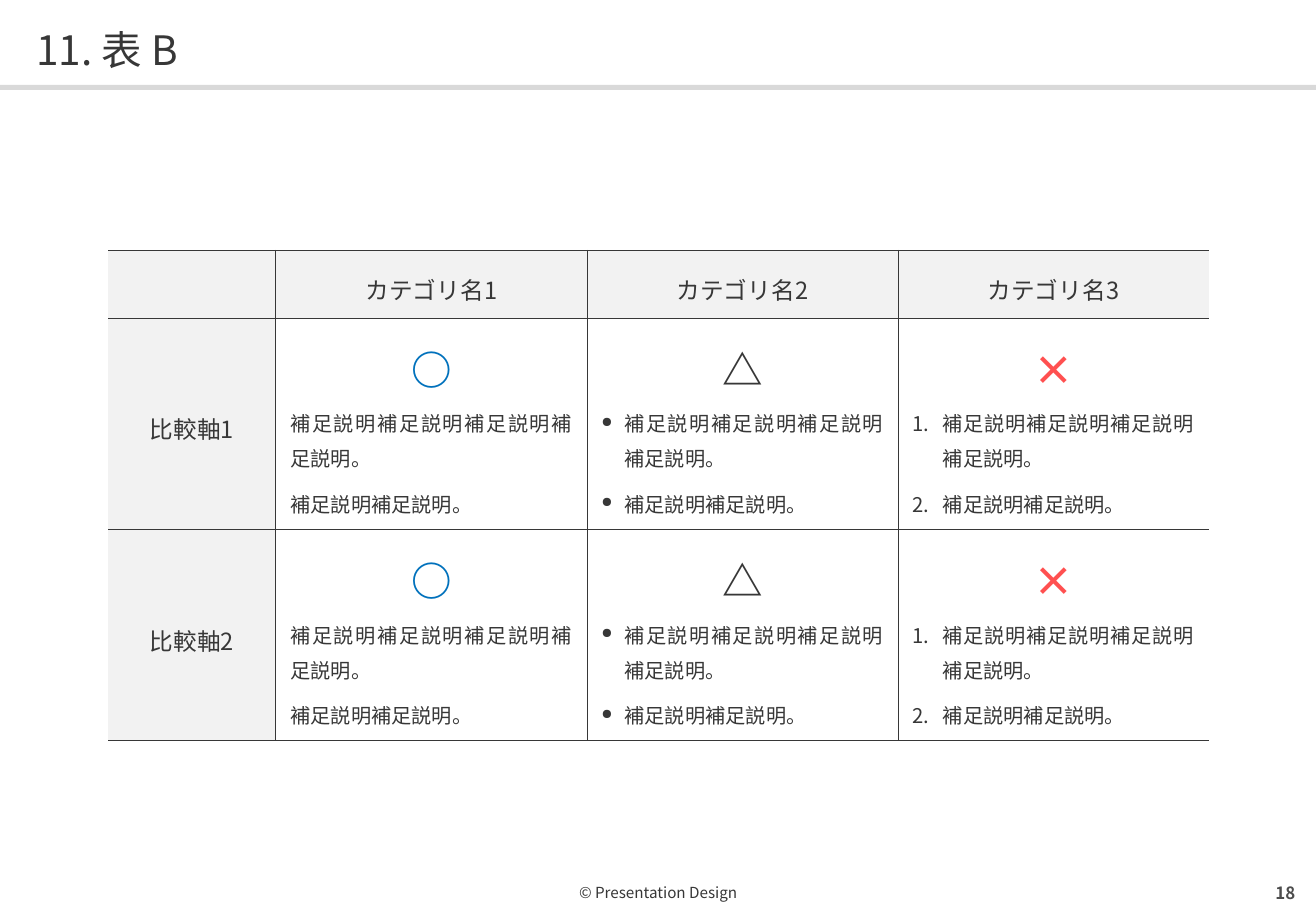
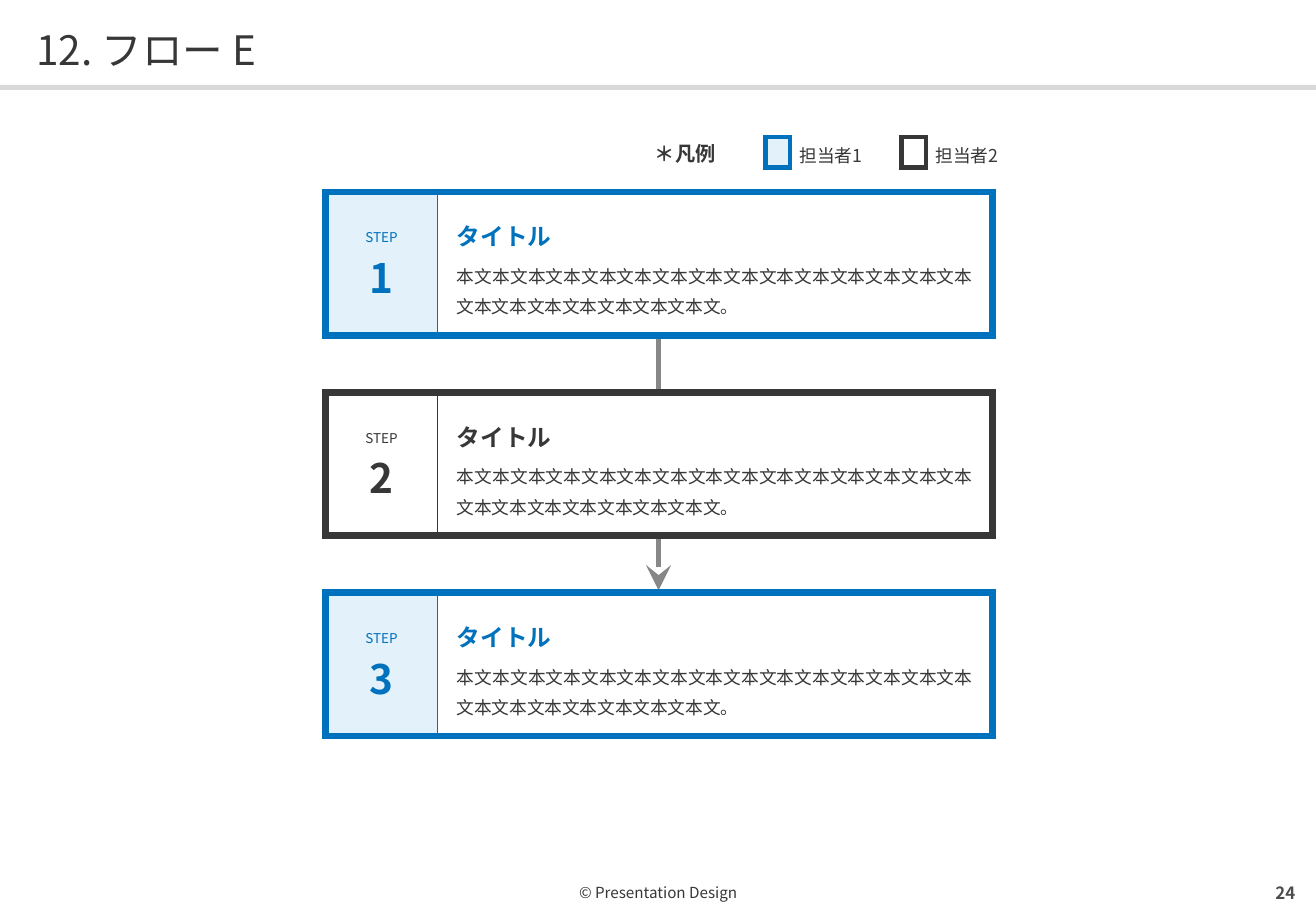
from lxml import etree
from pptx import Presentation
from pptx.dml.color import RGBColor
from pptx.enum.shapes import MSO_CONNECTOR, MSO_SHAPE
from pptx.enum.text import MSO_ANCHOR, PP_ALIGN
from pptx.oxml.ns import qn
from pptx.util import Inches, Pt

INK = RGBColor(0x37, 0x37, 0x37)
BLUE = RGBColor(0x00, 0x71, 0xBC)
RED = RGBColor(0xFF, 0x50, 0x50)
PALE_BLUE = RGBColor(0xE2, 0xF1, 0xFA)
PALE_GRAY = RGBColor(0xF2, 0xF2, 0xF2)
RULE_GRAY = RGBColor(0xD9, 0xD9, 0xD9)
ARROW_GRAY = RGBColor(0x87, 0x87, 0x87)
PAGE_GRAY = RGBColor(0x4D, 0x4D, 0x4D)
WHITE = RGBColor(0xFF, 0xFF, 0xFF)

LEFT, CENTER, RIGHT = PP_ALIGN.LEFT, PP_ALIGN.CENTER, PP_ALIGN.RIGHT
JUSTIFY = PP_ALIGN.JUSTIFY
TOP, MIDDLE = MSO_ANCHOR.TOP, MSO_ANCHOR.MIDDLE
RECTANGLE, ROUNDED = MSO_SHAPE.RECTANGLE, MSO_SHAPE.ROUNDED_RECTANGLE
FONT = "Noto Sans CJK JP"
NO_STYLE = "{2D5ABB26-0587-4C30-8999-92F81FD0307C}"
SLIDE_WIDTH, SLIDE_HEIGHT = 10.83, 7.5
FOOTER = "© Presentation Design"

CATEGORIES = ["カテゴリ名1", "カテゴリ名2", "カテゴリ名3"]
AXES = ["比較軸1", "比較軸2"]
RATINGS = [("○", BLUE, None, 0), ("△", INK, "●", 0.19), ("×", RED, "number", 0.25)]
NOTES = ["補足説明補足説明補足説明補足説明。", "補足説明補足説明。"]
COMPARISON_COLUMNS = [1.38, 2.56, 2.56, 2.56]
COMPARISON_ROWS = [0.56, 1.74, 1.74]
CELL_INSETS = (0.12, 0.12, 0.12, 0.1)

OWNERS = [("担当者1", BLUE, PALE_BLUE, 6.3, 0.88), ("担当者2", INK, WHITE, 7.42, 0.83)]
STEP_OWNERS = [0, 1, 0]
STEP_TITLE = "タイトル"
STEP_BODY = "本文" * 22 + "。"
STEP_LEFT, STEP_TOP, STEP_PITCH, STEP_HEIGHT = 2.68, 1.58, 1.65, 1.18


def write(frame, *texts):
    for index, (text, options) in enumerate(texts):
        paragraph = frame.paragraphs[0] if index == 0 else frame.add_paragraph()
        add_text(paragraph, text, **options)


def add_text(paragraph, text, size=12, color=INK, bold=False, align=LEFT,
             spacing=None, after=0, bullet=None, indent=0):
    paragraph.alignment = align
    paragraph.space_after = Pt(after)
    if spacing:
        paragraph.line_spacing = spacing
    if bullet:
        properties = paragraph._p.get_or_add_pPr()
        properties.set("marL", str(Inches(indent)))
        properties.set("indent", str(-Inches(indent)))
        if bullet == "number":
            etree.SubElement(properties, qn("a:buAutoNum"), type="arabicPeriod")
        else:
            etree.SubElement(properties, qn("a:buSzPct"), val="70000")
            etree.SubElement(properties, qn("a:buChar"), char=bullet)
    run = paragraph.add_run()
    run.text = text
    run.font.size = Pt(size)
    run.font.bold = bold
    run.font.color.rgb = color
    run.font.name = FONT
    etree.SubElement(run._r.get_or_add_rPr(), qn("a:ea"), typeface=FONT)


def write_cell(cell, *texts, insets, anchor=TOP):
    write(cell.text_frame, *texts)
    cell.margin_left, cell.margin_top, cell.margin_right, cell.margin_bottom = map(Inches, insets)
    cell.vertical_anchor = anchor


def add_block(slide, kind, box, fill=None):
    block = slide.shapes.add_shape(kind, *map(Inches, box))
    block.shadow.inherit = False
    block.line.fill.background()
    if kind == ROUNDED:
        block.adjustments[0] = 0
    if fill is None:
        block.fill.background()
    else:
        block.fill.solid()
        block.fill.fore_color.rgb = fill
    return block


def add_label(slide, box, text, anchor=TOP, wrap=True, rounded=False, **options):
    if rounded:
        label = add_block(slide, ROUNDED, box)
    else:
        label = slide.shapes.add_textbox(*map(Inches, box))
    frame = label.text_frame
    frame.margin_left = frame.margin_top = frame.margin_right = frame.margin_bottom = 0
    frame.vertical_anchor = anchor
    frame.word_wrap = wrap
    write(frame, (text, options))


def add_plain_table(slide, left, top, columns, rows):
    frame = slide.shapes.add_table(len(rows), len(columns), Inches(left), Inches(top),
                                   Inches(sum(columns)), Inches(sum(rows)))
    table = frame.table
    table.first_row = table.horz_banding = False
    table._tbl.tblPr.find(qn("a:tableStyleId")).text = NO_STYLE
    for column, width in zip(table.columns, columns):
        column.width = Inches(width)
    for row, height in zip(table.rows, rows):
        row.height = Inches(height)
    return table


def format_cell(cell, fill, color, **borders):
    cell.fill.solid()
    cell.fill.fore_color.rgb = fill
    properties = cell._tc.get_or_add_tcPr()
    sides = [side for side in "LRTB" if side in borders]
    for index, side in enumerate(sides):
        line = etree.Element(qn(f"a:ln{side}"), w=str(Pt(borders[side])))
        solid = etree.SubElement(line, qn("a:solidFill"))
        etree.SubElement(solid, qn("a:srgbClr"), val=str(color))
        properties.insert(index, line)


def add_base_slide(presentation, title, number):
    slide = presentation.slides.add_slide(presentation.slide_layouts[6])
    add_label(slide, (3.72, 7.21, 3.39, 0.21), FOOTER, rounded=True,
              size=9, align=CENTER, spacing=1.4, after=12)
    add_block(slide, RECTANGLE, (0, 0.7, SLIDE_WIDTH, 0.04), RULE_GRAY)
    add_label(slide, (0.3, 0.17, 10.24, 0.43), title, anchor=MIDDLE, size=24, spacing=1.1)
    add_label(slide, (8.13, 7.21, 2.53, 0.28), str(number), anchor=MIDDLE,
              size=10, color=PAGE_GRAY, bold=True, align=RIGHT)
    return slide


def add_comparison(slide):
    table = add_plain_table(slide, 0.89, 2.06, COMPARISON_COLUMNS, COMPARISON_ROWS)
    last = len(COMPARISON_COLUMNS) - 1
    for row in range(len(COMPARISON_ROWS)):
        for column in range(last + 1):
            borders = {"T": 0.5, "B": 0.5}
            if column > 0:
                borders["L"] = 0.5
            if column < last:
                borders["R"] = 0.5
            fill = WHITE if row and column else PALE_GRAY
            format_cell(table.cell(row, column), fill, INK, **borders)
    heading = dict(size=14, align=CENTER, spacing=1.2)
    for column, category in enumerate(CATEGORIES, 1):
        write_cell(table.cell(0, column), (category, heading), insets=CELL_INSETS)
    for row, axis in enumerate(AXES, 1):
        write_cell(table.cell(row, 0), (axis, heading), insets=CELL_INSETS, anchor=MIDDLE)
        for column, (mark, color, bullet, indent) in enumerate(RATINGS, 1):
            mark_format = dict(size=24, color=color, bold=True, align=CENTER, spacing=1.1, after=3)
            note_format = dict(align=JUSTIFY, spacing=1.2, after=6, bullet=bullet, indent=indent)
            write_cell(table.cell(row, column), (mark, mark_format),
                       *[(note, note_format) for note in NOTES], insets=CELL_INSETS)


def add_arrow(slide):
    arrow = slide.shapes.add_connector(MSO_CONNECTOR.STRAIGHT, Inches(5.42), Inches(2.61),
                                       Inches(5.42), Inches(4.86))
    arrow.line.color.rgb = ARROW_GRAY
    arrow.line.width = Pt(3)
    etree.SubElement(arrow.line._get_or_add_ln(), qn("a:tailEnd"), type="stealth", w="lg", len="lg")
    etree.SubElement(arrow._element.spPr, qn("a:effectLst"))


def add_step(slide, index, owner):
    _, color, fill, _, _ = OWNERS[owner]
    table = add_plain_table(slide, STEP_LEFT, STEP_TOP + index * STEP_PITCH, [0.92, 4.57], [STEP_HEIGHT])
    number_cell, body_cell = table.cell(0, 0), table.cell(0, 1)
    format_cell(number_cell, fill, color, L=4.5, R=0.5, T=4.5, B=4.5)
    format_cell(body_cell, WHITE, color, L=0.5, R=4.5, T=4.5, B=4.5)
    write_cell(number_cell, ("STEP", dict(size=8, color=color, align=CENTER)),
               (str(index + 1), dict(size=24, color=color, bold=True, align=CENTER)),
               insets=(0, 0.08, 0, 0.04), anchor=MIDDLE)
    body_format = dict(align=JUSTIFY, spacing=1.2, after=3)
    write_cell(body_cell, (STEP_TITLE, dict(size=14, color=color, bold=True, **body_format)),
               (STEP_BODY, dict(size=10.5, **body_format)),
               insets=(0.16, 0.16, 0.16, 0.14), anchor=MIDDLE)


def add_legend(slide):
    for name, color, fill, left, width in OWNERS:
        table = add_plain_table(slide, left, 1.13, [0.2, width], [0.25])
        swatch, label = table.cell(0, 0), table.cell(0, 1)
        format_cell(swatch, fill, color, L=3, R=3, T=3, B=3)
        format_cell(label, WHITE, color, L=3)
        write_cell(swatch, insets=(0, 0, 0, 0))
        etree.SubElement(swatch.text_frame.paragraphs[0]._p, qn("a:endParaRPr"), sz="800")
        write_cell(label, (name, dict(size=10.5)), insets=(0.08, 0.04, 0, 0), anchor=MIDDLE)
    add_label(slide, (5.39, 1.12, 0.51, 0.23), "＊凡例", rounded=True, wrap=False, bold=True, spacing=1.2)


def main():
    presentation = Presentation()
    presentation.slide_width = Inches(SLIDE_WIDTH)
    presentation.slide_height = Inches(SLIDE_HEIGHT)
    add_comparison(add_base_slide(presentation, "11. 表 B", 18))
    flow = add_base_slide(presentation, "12. フロー E", 24)
    add_arrow(flow)
    for index, owner in enumerate(STEP_OWNERS):
        add_step(flow, index, owner)
    add_legend(flow)
    presentation.save("out.pptx")


if __name__ == "__main__":
    main()
